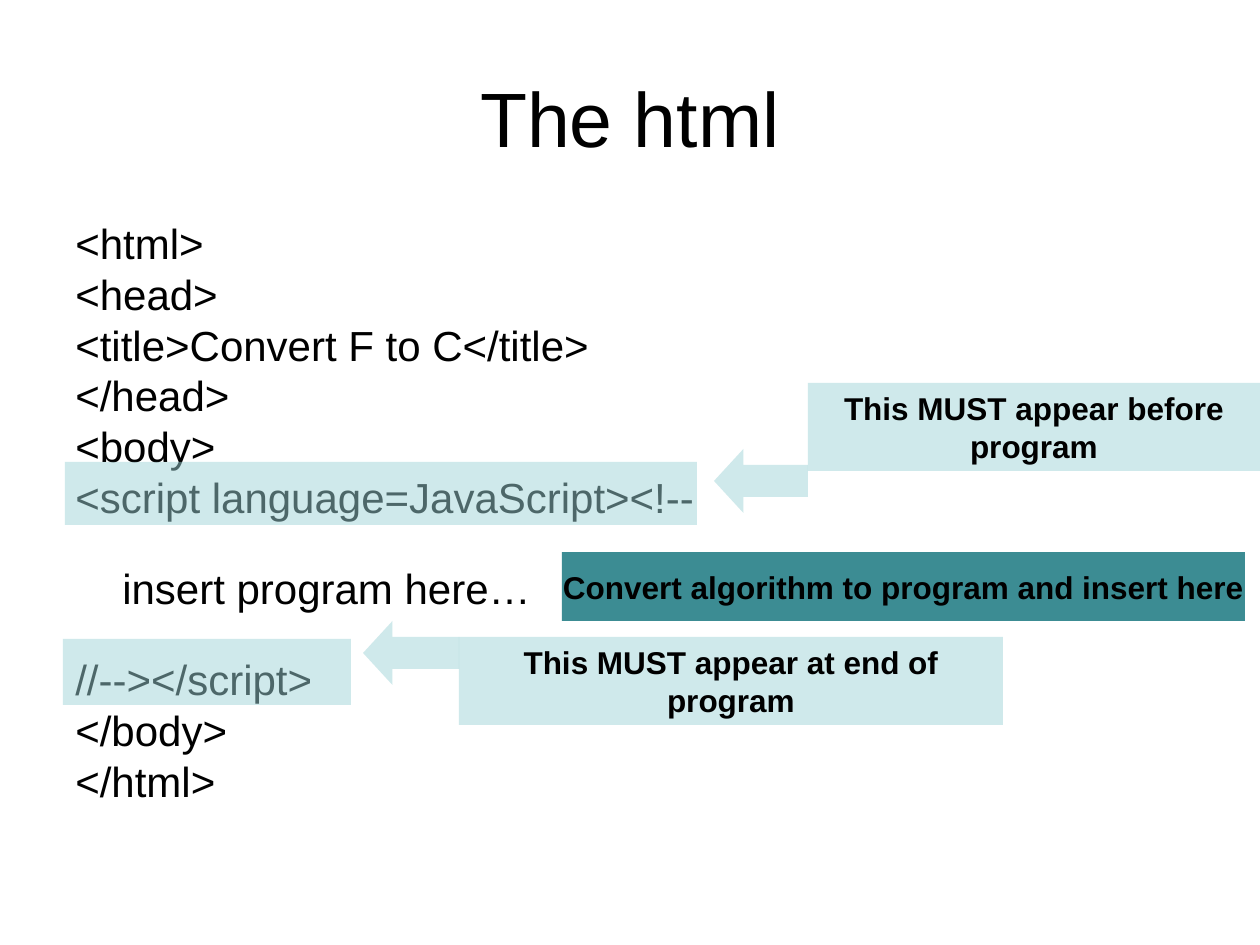
from pptx import Presentation
from pptx.dml.color import RGBColor
from pptx.enum.shapes import MSO_SHAPE
from pptx.enum.text import MSO_ANCHOR, PP_ALIGN
from pptx.oxml.ns import qn
from pptx.util import Pt
from lxml.etree import SubElement

SCALE = 914400 / 126
THEME = {
    "font": "Arial", "ink": "000000", "pale": "9ED3D7", "teal": "3C8C93",
    "alpha": 49, "title": 44, "code": 24, "note": 18,
}
RECT, ARROW = MSO_SHAPE.RECTANGLE, MSO_SHAPE.LEFT_ARROW


def px(*nums):
    return [round(n * SCALE) for n in nums]


def write(para, text, size, bold=False, **form):
    """Fill a paragraph with one run and apply its paragraph format."""
    run = para.add_run()
    run.text = text
    look = {"name": THEME["font"], "size": Pt(size), "bold": bold}
    for key, val in look.items():
        setattr(run.font, key, val)
    run.font.color.rgb = RGBColor.from_string(THEME["ink"])
    for key, val in form.items():
        setattr(para, key, val)


deck = Presentation()
deck.slide_width, deck.slide_height = px(1260, 945)
slide = deck.slides.add_slide(deck.slide_layouts[6])
shapes = slide.shapes

# Code listing, with a hanging indent
lines = [
    "<html>", "<head>", "<title>Convert F to C</title>", "</head>", "<body>",
    "<script language=JavaScript><!--", "insert program here…",
    "//--></script>", "</body>", "</html>",
]
frame = shapes.add_textbox(*px(63, 221, 1144, 567)).text_frame
frame.word_wrap = True
hang = px(47)[0]
for num, line in enumerate(lines):
    para = frame.paragraphs[0] if num == 0 else frame.add_paragraph()
    inner = line.startswith("insert")
    props = para._p.get_or_add_pPr()
    props.set("marL", str(hang))
    props.set("indent", str(0 if inner else -hang))
    gap = 29 if inner else 6 if num else 0
    write(para, line, THEME["code"], line_spacing=0.8,
          space_before=Pt(gap), space_after=Pt(23 if inner else 0))

# Title
frame = shapes.add_textbox(*px(63, 38, 1134, 158)).text_frame
frame.word_wrap = True
frame.vertical_anchor = MSO_ANCHOR.MIDDLE
write(frame.paragraphs[0], "The html", THEME["title"],
      alignment=PP_ALIGN.CENTER)

# Highlights, notes and arrows: kind, place, fill, text
parts = [
    (RECT, (65, 462, 632, 63), "pale", ""),
    (RECT, (63, 639, 288, 66), "pale", ""),
    (RECT, (808, 383, 452, 88), "pale", "This MUST appear before program"),
    (ARROW, (714, 449, 94, 64), "pale", ""),
    (RECT, (459, 637, 544, 88), "pale", "This MUST appear at end of program"),
    (ARROW, (363, 621, 96, 64), "pale", ""),
    (RECT, (562, 552, 683, 69), "teal",
     "Convert algorithm to program and insert here"),
]
for kind, place, fill, text in parts:
    shape = shapes.add_shape(kind, *px(*place))
    shape.shadow.inherit = False
    shape.line.fill.background()
    shape.fill.solid()
    shape.fill.fore_color.rgb = RGBColor.from_string(THEME[fill])
    pale = fill == "pale"
    if pale:
        color = shape.fill._xPr.find(qn("a:solidFill"))[0]
        SubElement(color, qn("a:alpha"), val=str(THEME["alpha"] * 1000))
    if kind == ARROW:
        shape.adjustments[0], shape.adjustments[1] = 0.5, 0.46
    if text:
        frame = shape.text_frame
        frame.word_wrap = pale
        frame.vertical_anchor = MSO_ANCHOR.TOP if pale else MSO_ANCHOR.MIDDLE
        write(frame.paragraphs[0], text, THEME["note"], True,
              alignment=PP_ALIGN.CENTER)

deck.save("out.pptx")
